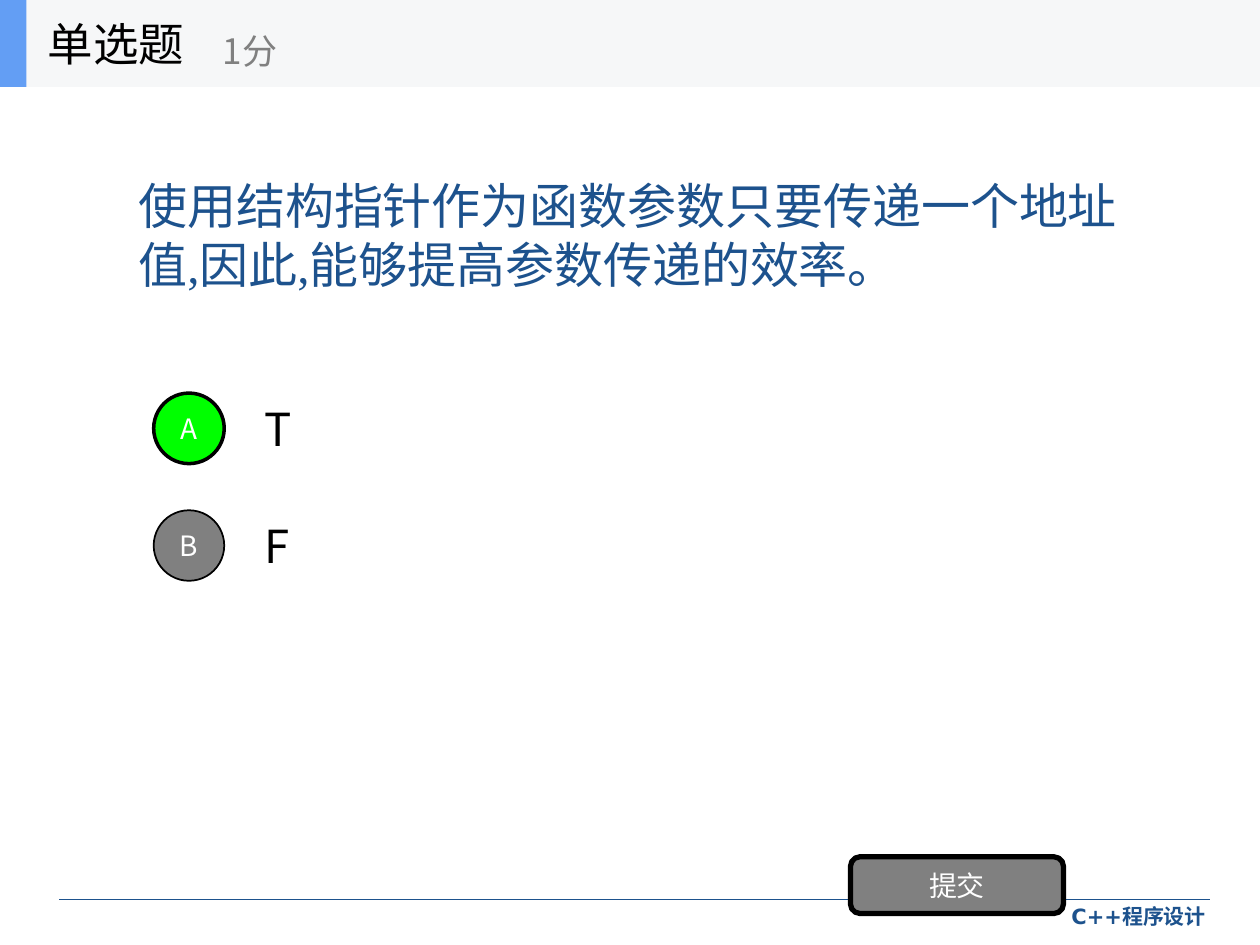
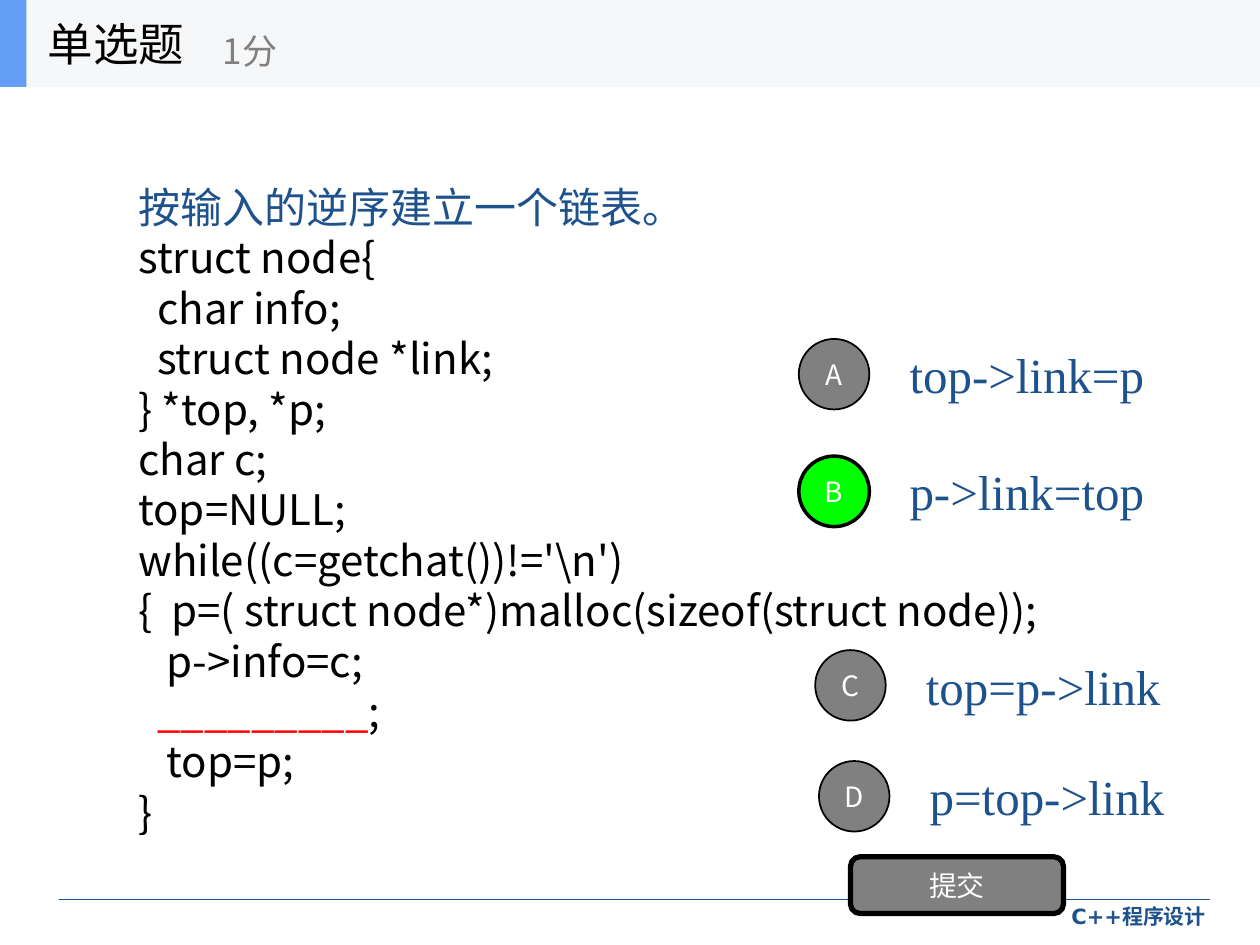
from dataclasses import dataclass
from typing import NamedTuple

from lxml import etree
from pptx import Presentation
from pptx.dml.color import RGBColor
from pptx.enum import shapes, text
from pptx.oxml import ns
from pptx.util import Inches, Pt


@dataclass(frozen=True)
class Theme:
    navy: str = "1D528D"
    blue: str = "639EF4"
    pale: str = "F6F7F8"
    grey: str = "808080"
    green: str = "00FF00"
    red: str = "FF0000"
    black: str = "000000"
    white: str = "FFFFFF"
    sans: str = "Noto Sans CJK SC"
    serif: str = "Times New Roman"
    foot: str = "DejaVu Sans"
    foot_size: int = 12
    label: int = 16
    score: int = 20
    code: int = 24
    title: int = 26
    stem: int = 28


T = Theme()


class Box(NamedTuple):
    left: float
    top: float
    width: float
    height: float


class Style(NamedTuple):
    size: int
    color: str
    font: str = T.sans
    bold: bool = False


class Span(NamedTuple):
    words: str
    style: Style


class Choice(NamedTuple):
    words: str
    left: float
    top: float
    width: float
    right: bool = False


class Quiz(NamedTuple):
    stem: list[list[Span]]
    height: float
    style: Style
    picks: list[Choice]


PROSE = Style(T.stem, T.navy, T.serif)
LEAD = Style(T.code, T.navy, T.serif)
CODE = Style(T.code, T.black)
GAP = Style(T.code, T.red)
TITLE = Style(T.title, T.black)
LABEL = Style(T.label, T.white)
SCORE = Style(T.score, T.grey)
FOOT = Style(T.foot_size, T.navy, T.foot, True)

DISC = 0.56
ROW = 0.7
INDENT = 0.78

HEAD = r"""struct node{
  char info;
  struct node *link;
} *top, *p;
char c;
top=NULL;
while((c=getchat())!='\n')
{  p=( struct node*)malloc(sizeof(struct node));
   p->info=c;"""
TAIL = """   top=p;
}"""


def rows(code: str) -> list[list[Span]]:
    return [[Span(line, CODE)] for line in code.splitlines()]


QUIZZES = [
    Quiz(
        [[Span("使用结构指针作为函数参数只要传递一个地址值,因此,能够提高参数传递的效率。", PROSE)]],
        2.34,
        TITLE,
        [Choice("T", 2, 3.05, 7, True), Choice("F", 2, 3.98, 7)],
    ),
    Quiz(
        [
            [Span("按输入的逆序建立一个链表。", LEAD)],
            *rows(HEAD),
            [Span("  _________", GAP), Span(";", CODE)],
            *rows(TAIL),
        ],
        6.7,
        PROSE,
        [
            Choice("top->link=p", 7.12, 2.62, 2.29),
            Choice("p->link=top", 7.12, 3.55, 2.29, True),
            Choice("top=p->link", 7.25, 5.09, 2.29),
            Choice("p=top->link", 7.28, 5.97, 2.45),
        ],
    ),
]


def place(box: Box) -> list[int]:
    return [Inches(side) for side in box]


def write(shape, lines: list[list[Span]], align=text.PP_ALIGN.LEFT,
          anchor=text.MSO_ANCHOR.MIDDLE) -> None:
    frame = shape.text_frame
    frame.word_wrap = True
    frame.vertical_anchor = anchor
    for num, spans in enumerate(lines):
        para = frame.paragraphs[0] if num == 0 else frame.add_paragraph()
        para.alignment = align
        for words, style in spans:
            run = para.add_run()
            run.text = words
            font = run.font
            font.size = Pt(style.size)
            font.name = style.font
            font.bold = style.bold
            font.color.rgb = RGBColor.from_string(style.color)
            east = etree.SubElement(font._element, ns.qn("a:ea"))
            east.set("typeface", T.sans)


def add_text(slide, box: Box, lines: list[list[Span]], **kind) -> None:
    write(slide.shapes.add_textbox(*place(box)), lines, **kind)


def add_form(slide, form, box: Box, fill: str, line: float = 0, label: str = "") -> None:
    shape = slide.shapes.add_shape(form, *place(box))
    shape.shadow.inherit = False
    shape.fill.solid()
    shape.fill.fore_color.rgb = RGBColor.from_string(fill)
    if line:
        shape.line.color.rgb = RGBColor.from_string(T.black)
        shape.line.width = Pt(line)
    else:
        shape.line.fill.background()
    if label:
        frame = shape.text_frame
        frame.margin_left = frame.margin_right = 0
        write(shape, [[Span(label, LABEL)]], text.PP_ALIGN.CENTER)


def add_foot(slide) -> None:
    rule = slide.shapes.add_connector(
        shapes.MSO_CONNECTOR.STRAIGHT, *place(Box(0.47, 7.14, 9.6, 7.14)))
    rule.line.color.rgb = RGBColor.from_string(T.navy)
    rule.line.width = Pt(0.75)
    etree.SubElement(rule._element.spPr, ns.qn("a:effectLst"))
    add_text(slide, Box(6.5, 7.12, 3.17, 0.33), [[Span("C++程序设计", FOOT)]],
             align=text.PP_ALIGN.RIGHT, anchor=text.MSO_ANCHOR.TOP)


def add_head(slide) -> None:
    form = shapes.MSO_SHAPE.RECTANGLE
    add_form(slide, form, Box(0, 0, 10, 0.69), T.pale)
    add_form(slide, form, Box(0, 0, 0.21, 0.69), T.blue)
    add_text(slide, Box(0.28, 0, 2.08, 0.69), [[Span("单选题", TITLE)]])
    add_text(slide, Box(1.67, 0.12, 2.5, 0.56), [[Span("1分", SCORE)]])


def add_pick(slide, mark: str, pick: Choice, style: Style) -> None:
    """Draw one answer with its lettered disc; the right one is green."""
    add_text(slide, Box(pick.left, pick.top, pick.width, ROW), [[Span(pick.words, style)]])
    disc = Box(pick.left - INDENT, pick.top + (ROW - DISC) / 2, DISC, DISC)
    fill, line = (T.green, 2) if pick.right else (T.grey, 1)
    add_form(slide, shapes.MSO_SHAPE.OVAL, disc, fill, line, mark)


def add_quiz(deck, quiz: Quiz) -> None:
    slide = deck.slides.add_slide(deck.slide_layouts[6])
    add_foot(slide)
    add_text(slide, Box(1, 0.69, 8, quiz.height), quiz.stem)
    for mark, pick in zip("ABCD", quiz.picks):
        add_pick(slide, mark, pick, quiz.style)
    add_form(slide, shapes.MSO_SHAPE.ROUNDED_RECTANGLE,
             Box(6.75, 6.8, 1.69, 0.45), T.grey, 3, "提交")
    add_head(slide)


def main() -> None:
    deck = Presentation()
    deck.slide_width, deck.slide_height = Inches(10), Inches(7.5)
    for quiz in QUIZZES:
        add_quiz(deck, quiz)
    deck.save("out.pptx")


if __name__ == "__main__":
    main()
